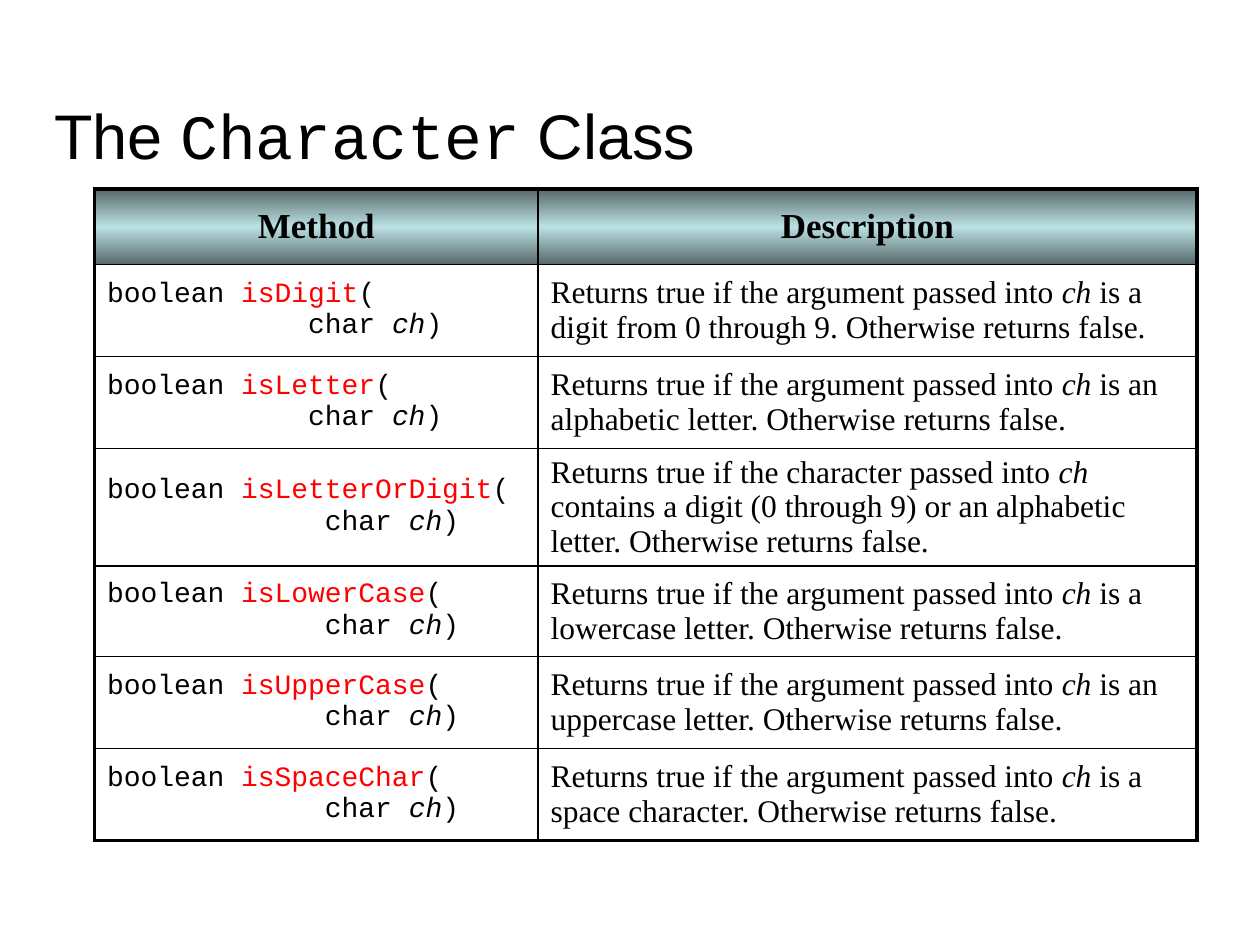
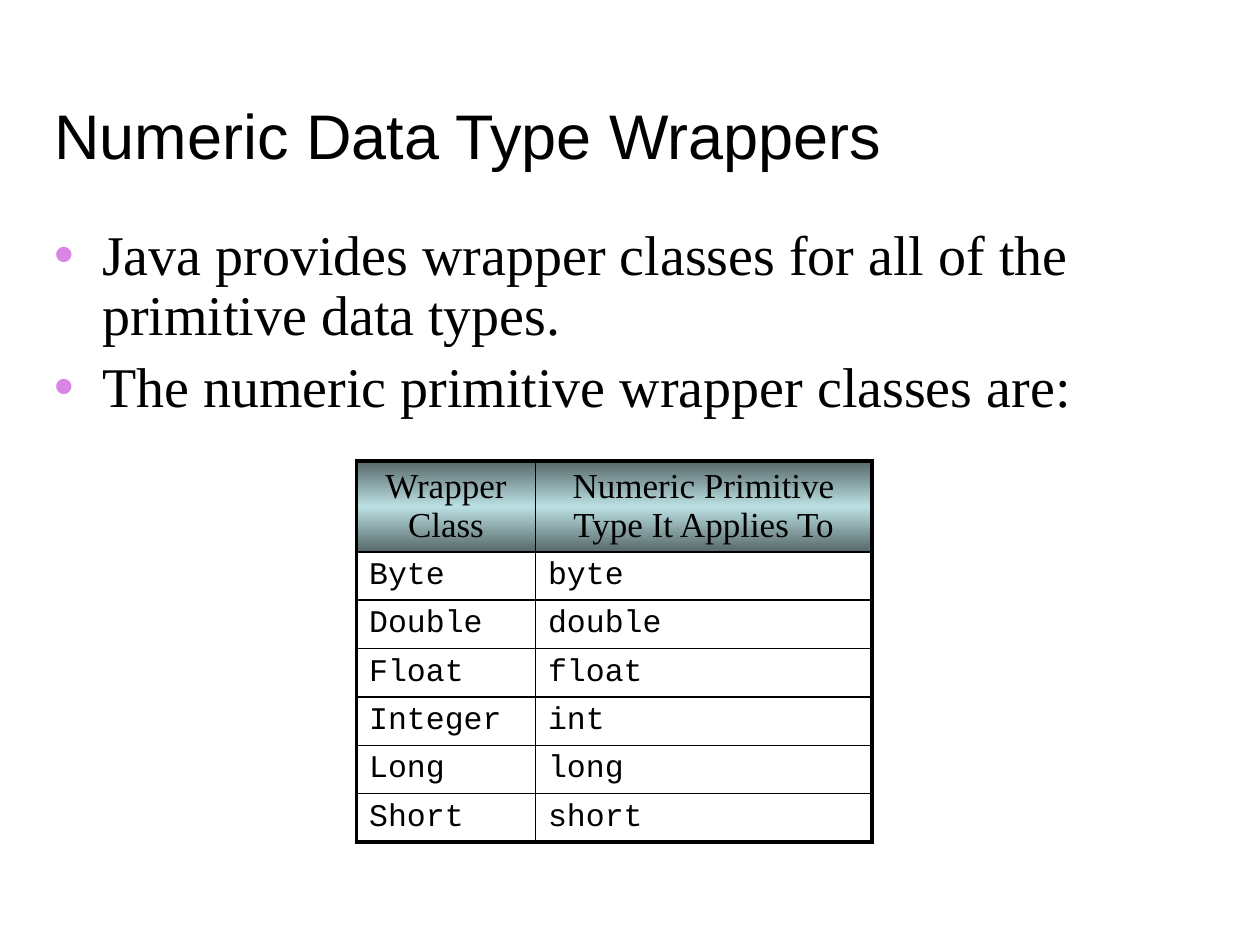
from pptx import Presentation
from pptx.dml.color import RGBColor
from pptx.enum.text import MSO_ANCHOR as Anchor, MSO_AUTO_SIZE as AutoSize, PP_ALIGN as Align
from pptx.oxml import parse_xml
from pptx.oxml.ns import nsdecls
from pptx.util import Inches, Pt

SANS, SERIF, MONO = "Arial", "Times New Roman", "Courier New"
BLACK, RED, BULLET = "000000", "FF0000", "D885E3"
HEADER_STOPS = ((0, "576869"), (50, "BBE0E3"), (100, "576869"))
THIN, THICK = 1, 2.25
TITLE_BOX = (0.33, 0.33, 9.42, 1.09)
TITLE_ONLY, TITLE_AND_BODY = 5, 1

METHODS = [
    ("isDigit", 12, "argument", "is a digit from 0 through 9."),
    ("isLetter", 12, "argument", "is an alphabetic letter."),
    ("isLetterOrDigit", 13, "character",
     "contains a digit (0 through 9) or an alphabetic letter."),
    ("isLowerCase", 13, "argument", "is a lowercase letter."),
    ("isUpperCase", 13, "argument", "is an uppercase letter."),
    ("isSpaceChar", 13, "argument", "is a space character."),
]
WRAPPERS = [("Byte", "byte"), ("Double", "double"), ("Float", "float"),
            ("Integer", "int"), ("Long", "long"), ("Short", "short")]
WRAPPER_POINTS = [
    "Java provides wrapper classes for all of the primitive data types.",
    "The numeric primitive wrapper classes are:",
]


def color(hex_code):
    return RGBColor.from_string(hex_code)


def add_text(para, text, font=SERIF, size=18, fill=BLACK, bold=False, italic=False):
    span = para.add_run()
    span.text = text
    span.font.name = font
    span.font.size = Pt(size)
    span.font.bold = bold
    span.font.italic = italic
    span.font.color.rgb = color(fill)


def place(shape, box):
    shape.left, shape.top, shape.width, shape.height = map(Inches, box)


def add_page(deck, layout, *title_parts):
    page = deck.slides.add_slide(deck.slide_layouts[layout])
    title = page.shapes.title
    place(title, TITLE_BOX)
    frame = title.text_frame
    frame.vertical_anchor = Anchor.BOTTOM
    frame.auto_size = AutoSize.NONE
    para = frame.paragraphs[0]
    para.alignment = Align.LEFT
    for text, font in title_parts:
        add_text(para, text, font=font, size=36)
    return page


def add_bullet(para):
    props = para._p.get_or_add_pPr()
    props.set("marL", str(Inches(0.38)))
    props.set("indent", str(-Inches(0.38)))
    props.append(parse_xml(
        f'<a:buClr {nsdecls("a")}><a:srgbClr val="{BULLET}"/></a:buClr>'))
    props.append(parse_xml(f'<a:buChar {nsdecls("a")} char="•"/>'))


def fill_body(body, box, points):
    place(body, box)
    frame = body.text_frame
    frame.margin_right = 0
    frame.auto_size = AutoSize.NONE
    for index, point in enumerate(points):
        para = frame.add_paragraph() if index else frame.paragraphs[0]
        add_bullet(para)
        para.line_spacing = 0.9
        para.space_before = Pt(6.4 if index else 0)
        add_text(para, point, size=32)


def set_borders(cell, **widths):
    props = cell._tc.get_or_add_tcPr()
    for side in ("L", "R", "T", "B"):
        props.append(parse_xml(
            f'<a:ln{side} {nsdecls("a")} w="{Pt(widths[side])}"><a:solidFill>'
            f'<a:srgbClr val="{BLACK}"/></a:solidFill></a:ln{side}>'))


def fill_header(cell):
    stops = "".join(f'<a:gs pos="{stop * 1000}"><a:srgbClr val="{shade}"/></a:gs>'
                    for stop, shade in HEADER_STOPS)
    cell._tc.get_or_add_tcPr().append(parse_xml(
        f'<a:gradFill {nsdecls("a")}><a:gsLst>{stops}</a:gsLst>'
        '<a:lin ang="5400000" scaled="1"/></a:gradFill>'))


def add_grid(page, left, top, widths, heights, headings, bold):
    table = page.shapes.add_table(
        len(heights), len(widths), Inches(left), Inches(top),
        Inches(sum(widths)), Inches(sum(heights))).table
    table.horz_banding = False
    table.first_row = False
    for column, width in zip(table.columns, widths):
        column.width = Inches(width)
    last_row, last_column = len(heights) - 1, len(widths) - 1
    for r, height in enumerate(heights):
        table.rows[r].height = Inches(height)
        for c in range(len(widths)):
            cell = table.cell(r, c)
            cell.vertical_anchor = Anchor.MIDDLE
            set_borders(cell, L=THIN if c else THICK, T=THIN if r else THICK,
                        R=THICK if c == last_column else THIN,
                        B=THICK if r == last_row else THIN)
            if r:
                cell.fill.background()
            else:
                fill_header(cell)
    for c, heading in enumerate(headings):
        para = table.cell(0, c).text_frame.paragraphs[0]
        para.alignment = Align.CENTER
        for index, line in enumerate(heading.split("\n")):
            if index:
                para.add_line_break()
            add_text(para, line, size=20, bold=bold)
    return table


def fill_signature(frame, name, indent):
    code = dict(font=MONO, size=16)
    first = frame.paragraphs[0]
    add_text(first, "boolean ", **code)
    add_text(first, name, fill=RED, **code)
    add_text(first, "(", **code)
    second = frame.add_paragraph()
    add_text(second, " " * indent + "char ", **code)
    add_text(second, "ch", italic=True, **code)
    add_text(second, ")", **code)


def fill_description(frame, subject, condition):
    para = frame.paragraphs[0]
    add_text(para, f"Returns true if the {subject} passed into ")
    add_text(para, "ch ", italic=True)
    add_text(para, f"{condition} Otherwise returns false.")


def build_character_page(deck):
    page = add_page(deck, TITLE_ONLY, ("The ", SANS), ("Character", MONO), (" Class", SANS))
    table = add_grid(page, 0.75, 1.5, (3.52, 5.23),
                     (0.6, 0.73, 0.73, 0.93, 0.72, 0.73, 0.73),
                     ("Method", "Description"), bold=True)
    for row, (name, indent, subject, condition) in enumerate(METHODS, 1):
        fill_signature(table.cell(row, 0).text_frame, name, indent)
        fill_description(table.cell(row, 1).text_frame, subject, condition)


def build_wrapper_page(deck):
    page = add_page(deck, TITLE_AND_BODY, ("Numeric Data Type Wrappers", SANS))
    fill_body(page.placeholders[1], (0.33, 1.75, 9.07, 1.77), WRAPPER_POINTS)
    table = add_grid(page, 2.83, 3.66, (1.42, 2.67),
                     [0.72] + [0.38] * len(WRAPPERS),
                     ("Wrapper Class", "Numeric Primitive\nType It Applies To"), bold=False)
    for row, names in enumerate(WRAPPERS, 1):
        for column, name in enumerate(names):
            add_text(table.cell(row, column).text_frame.paragraphs[0], name, font=MONO)


def main():
    deck = Presentation()
    deck.slide_width, deck.slide_height = Inches(10), Inches(7.5)
    build_character_page(deck)
    build_wrapper_page(deck)
    deck.save("out.pptx")


if __name__ == "__main__":
    main()
